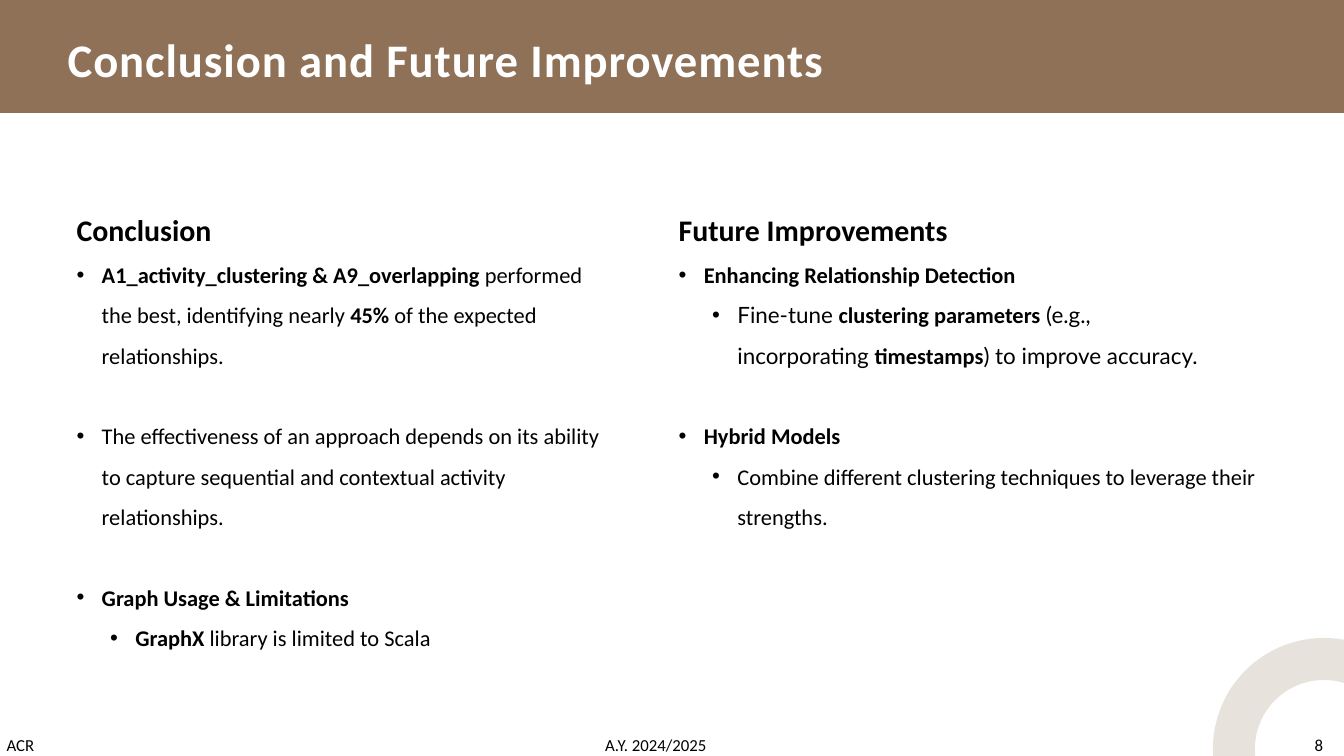
import pptx
import pptx.util
import pptx.dml.color
import pptx.enum.shapes
import pptx.oxml.ns
import lxml.etree

Pt = pptx.util.Pt
WIDTH, HEIGHT = 1440, 810
COLORS = {"brown": "8E7156", "white": "FFFFFF", "black": "000000"}
NBSP = chr(160)
BODY, ALTERNATE = "Calibri", "Lato"

TITLE = "Conclusion and Future Improvements"
FOOTER = ["ACR", "A.Y. 2024/2025", "8"]
FOOTER_TABS = [695.5, 1406]

# fmt: off
COLUMNS = [
    {"heading": "Conclusion", "left": 38.9, "width": 610.5, "items": [
        (1, False, [("A1_activity_clustering & A9_overlapping ", True, BODY),
                    ("performed the best, identifying nearly", False, BODY),
                    (" 45% ", True, BODY),
                    ("of the expected relationships.", False, BODY)]),
        (1, True, [("The effectiveness of an approach depends on its ability to capture "
                    "sequential and contextual activity relationships.", False, BODY)]),
        (1, True, [("Graph Usage & Limitations", True, BODY)]),
        (2, False, [("GraphX", True, BODY),
                    (" library is limited to Scala", False, BODY)]),
    ]},
    {"heading": "Future Improvements", "left": 684, "width": 669.5, "items": [
        (1, False, [("Enhancing Relationship Detection", True, BODY)]),
        (2, False, [("Fine-tune ", False, ALTERNATE),
                    ("clustering parameters", True, BODY),
                    (f" (e.g., incorporating{NBSP}", False, ALTERNATE),
                    ("timestamps", True, BODY),
                    (") to improve accuracy.", False, ALTERNATE)]),
        (1, True, [("Hybrid Models", True, BODY)]),
        (2, False, [("Combine different clustering techniques to leverage their strengths.",
                     False, BODY)]),
    ]},
]
# fmt: on
COLUMN_TOP, COLUMN_HEIGHT = 185, 516
HEADING_INDENT, HANGING = 36, 27
ITEM_INDENTS = {1: 63, 2: 99}
GROUP_GAP = 43.2


def rgb(name):
    return pptx.dml.color.RGBColor.from_string(COLORS[name])


def add_xml(parent, tag, **attributes):
    return lxml.etree.SubElement(parent, pptx.oxml.ns.qn(tag), **attributes)


def add_box(left, top, width, height):
    frame = slide.shapes.add_textbox(Pt(left), Pt(top), Pt(width), Pt(height)).text_frame
    frame.word_wrap = True
    return frame


def set_font(paragraph, size, color, bold=None):
    font = paragraph.font
    font.name, font.size, font.bold = BODY, Pt(size), bold
    font.color.rgb = rgb(color)


def set_indent(paragraph, left, first=0):
    properties = paragraph._p.get_or_add_pPr()
    properties.set("marL", str(Pt(left)))
    properties.set("indent", str(Pt(first)))
    return properties


def add_item(frame, level, starts_group, runs):
    paragraph = frame.add_paragraph()
    paragraph.level = level - 1
    properties = set_indent(paragraph, ITEM_INDENTS[level], -HANGING)
    add_xml(properties, "a:buFont", typeface="Arial")
    add_xml(properties, "a:buChar", char="•")
    paragraph.line_spacing = 1.5
    if starts_group:
        paragraph.space_before = Pt(GROUP_GAP)
    set_font(paragraph, 24, "black")
    for words, bold, typeface in runs:
        run = paragraph.add_run()
        run.text = words
        run.font.bold = bold
        if typeface != BODY:
            run.font.name = typeface


def add_column(column):
    frame = add_box(column["left"], COLUMN_TOP, column["width"], COLUMN_HEIGHT)
    heading = frame.paragraphs[0]
    heading.text = column["heading"]
    set_indent(heading, HEADING_INDENT)
    heading.line_spacing = 2.0
    set_font(heading, 32, "black", True)
    for item in column["items"]:
        add_item(frame, *item)


def add_title():
    band = slide.shapes.add_shape(
        pptx.enum.shapes.MSO_SHAPE.RECTANGLE, 0, 0, Pt(WIDTH), Pt(121))
    band.shadow.inherit = False
    band.fill.solid()
    band.fill.fore_color.rgb = rgb("brown")
    band.line.fill.background()

    frame = add_box(72.5, 23, 1083.5, 68.5)
    frame.margin_left = frame.margin_top = frame.margin_right = frame.margin_bottom = 0
    title = frame.paragraphs[0]
    title.text = TITLE
    title.line_spacing = Pt(70)
    set_font(title, 50, "white", True)
    title.runs[0]._r.get_or_add_rPr().set("spc", "100")


def add_footer():
    footer = add_box(0, 783.5, WIDTH, 29).paragraphs[0]
    footer.add_run().text = "\t".join(FOOTER)
    stops = add_xml(footer._p.get_or_add_pPr(), "a:tabLst")
    for position in FOOTER_TABS:
        add_xml(stops, "a:tab", pos=str(Pt(position)), algn="ctr")
    set_font(footer, 18, "black")


def add_ring():
    ring = slide.shapes.add_shape(
        pptx.enum.shapes.MSO_SHAPE.OVAL, Pt(1322), Pt(706), Pt(193), Pt(193))
    ring.shadow.inherit = False
    ring.fill.background()
    ring.line.width = Pt(45)
    ring.line.color.rgb = rgb("brown")
    stroke = ring.line._ln.find(".//" + pptx.oxml.ns.qn("a:srgbClr"))
    add_xml(stroke, "a:alpha", val="20000")


deck = pptx.Presentation()
deck.slide_width, deck.slide_height = Pt(WIDTH), Pt(HEIGHT)
slide = deck.slides.add_slide(deck.slide_layouts[6])
add_title()
add_footer()
add_ring()
for column in COLUMNS:
    add_column(column)
deck.save("out.pptx")
